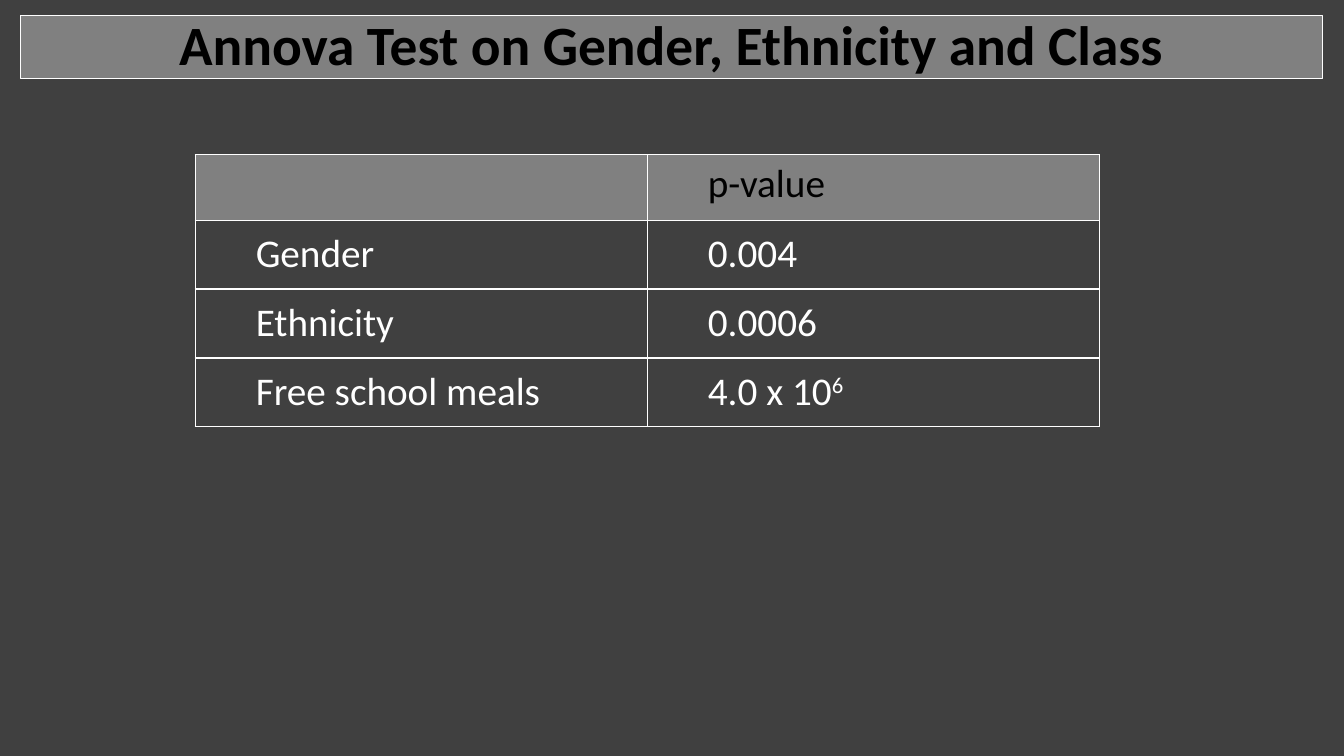
import dataclasses

import pptx
import pptx.dml.color
import pptx.enum.text
import pptx.oxml
import pptx.oxml.ns
import pptx.util

Pt = pptx.util.Pt
RGBColor = pptx.dml.color.RGBColor
MSO_ANCHOR = pptx.enum.text.MSO_ANCHOR


@dataclasses.dataclass(frozen=True)
class Theme:
    """Hold the colours and type sizes of the slide."""

    background: str = "404040"
    band: str = "808080"
    dark: str = "000000"
    light: str = "FFFFFF"
    font: str = "Calibri"
    title_size: float = 39.6
    table_size: float = 28
    title_line: float = 0.75
    table_line: float = 1


THEME = Theme()
TITLE = "Annova Test on Gender, Ethnicity and Class"
P_VALUES = [
    ("", "p-value"),
    ("Gender", "0.004"),
    ("Ethnicity", "0.0006"),
    ("Free school meals", "4.0 x 10^6"),
]
COLUMN_WIDTH = 323
HEADER_HEIGHT = 46.8
ROW_HEIGHT = 49.2
CELL_INDENT = 36


def paint(fill, colour):
    """Give a fill one solid colour."""
    fill.solid()
    fill.fore_color.rgb = RGBColor.from_string(colour)


def format_runs(paragraph, size, colour, bold=False):
    """Set the type of every run in a paragraph."""
    for run in paragraph.runs:
        run.font.name = THEME.font
        run.font.size = Pt(size)
        run.font.bold = bold
        run.font.color.rgb = RGBColor.from_string(colour)


def format_title(shape):
    """Place the title as an outlined band with centred text."""
    shape.left, shape.top, shape.width, shape.height = Pt(14.4), Pt(11.3), Pt(930.2), Pt(44.8)
    paint(shape.fill, THEME.band)
    paint(shape.line.fill, THEME.light)
    shape.line.width = Pt(THEME.title_line)
    text_frame = shape.text_frame
    text_frame.text = TITLE
    text_frame.word_wrap = True
    text_frame.auto_size = pptx.enum.text.MSO_AUTO_SIZE.NONE
    text_frame.vertical_anchor = MSO_ANCHOR.MIDDLE
    paragraph = text_frame.paragraphs[0]
    paragraph.alignment = pptx.enum.text.PP_ALIGN.CENTER
    paragraph.line_spacing = 0.9
    format_runs(paragraph, THEME.title_size, THEME.dark, bold=True)


def add_borders(cell):
    """Draw a line on all four sides of a cell."""
    properties = cell._tc.get_or_add_tcPr()
    for side in ("lnL", "lnR", "lnT", "lnB"):
        properties.append(pptx.oxml.parse_xml(
            f'<a:{side} {pptx.oxml.ns.nsdecls("a")} w="{Pt(THEME.table_line)}">'
            f'<a:solidFill><a:srgbClr val="{THEME.light}"/></a:solidFill></a:{side}>'))


def write_cell(cell, text, colour):
    """Write indented text, raising whatever follows a caret."""
    base, _, exponent = text.partition("^")
    paragraph = cell.text_frame.paragraphs[0]
    paragraph.text = base
    paragraph.level = 1
    properties = paragraph._p.get_or_add_pPr()
    properties.set("marL", str(Pt(CELL_INDENT)))
    properties.set("indent", "0")
    if exponent:
        run = paragraph.add_run()
        run.text = exponent
        run._r.get_or_add_rPr().set("baseline", "30000")
    format_runs(paragraph, THEME.table_size, colour)


def add_p_value_table(slide):
    """Add the table of p-values with its header band."""
    row_count, column_count = len(P_VALUES), len(P_VALUES[0])
    height = HEADER_HEIGHT + ROW_HEIGHT * (row_count - 1)
    table = slide.shapes.add_table(row_count, column_count, Pt(139.5), Pt(110.5),
                                   Pt(COLUMN_WIDTH * column_count), Pt(height)).table
    for row_index, texts in enumerate(P_VALUES):
        is_header = row_index == 0
        table.rows[row_index].height = Pt(HEADER_HEIGHT if is_header else ROW_HEIGHT)
        for column_index, text in enumerate(texts):
            cell = table.cell(row_index, column_index)
            add_borders(cell)
            paint(cell.fill, THEME.band) if is_header else cell.fill.background()
            cell.vertical_anchor = MSO_ANCHOR.TOP if is_header else MSO_ANCHOR.MIDDLE
            if text:
                write_cell(cell, text, THEME.dark if is_header else THEME.light)


def main():
    """Build the slide and save it."""
    presentation = pptx.Presentation()
    presentation.slide_width, presentation.slide_height = Pt(960), Pt(540)
    slide = presentation.slides.add_slide(presentation.slide_layouts.get_by_name("Title Only"))
    paint(slide.background.fill, THEME.background)
    format_title(slide.shapes.title)
    add_p_value_table(slide)
    presentation.save("out.pptx")


main()
